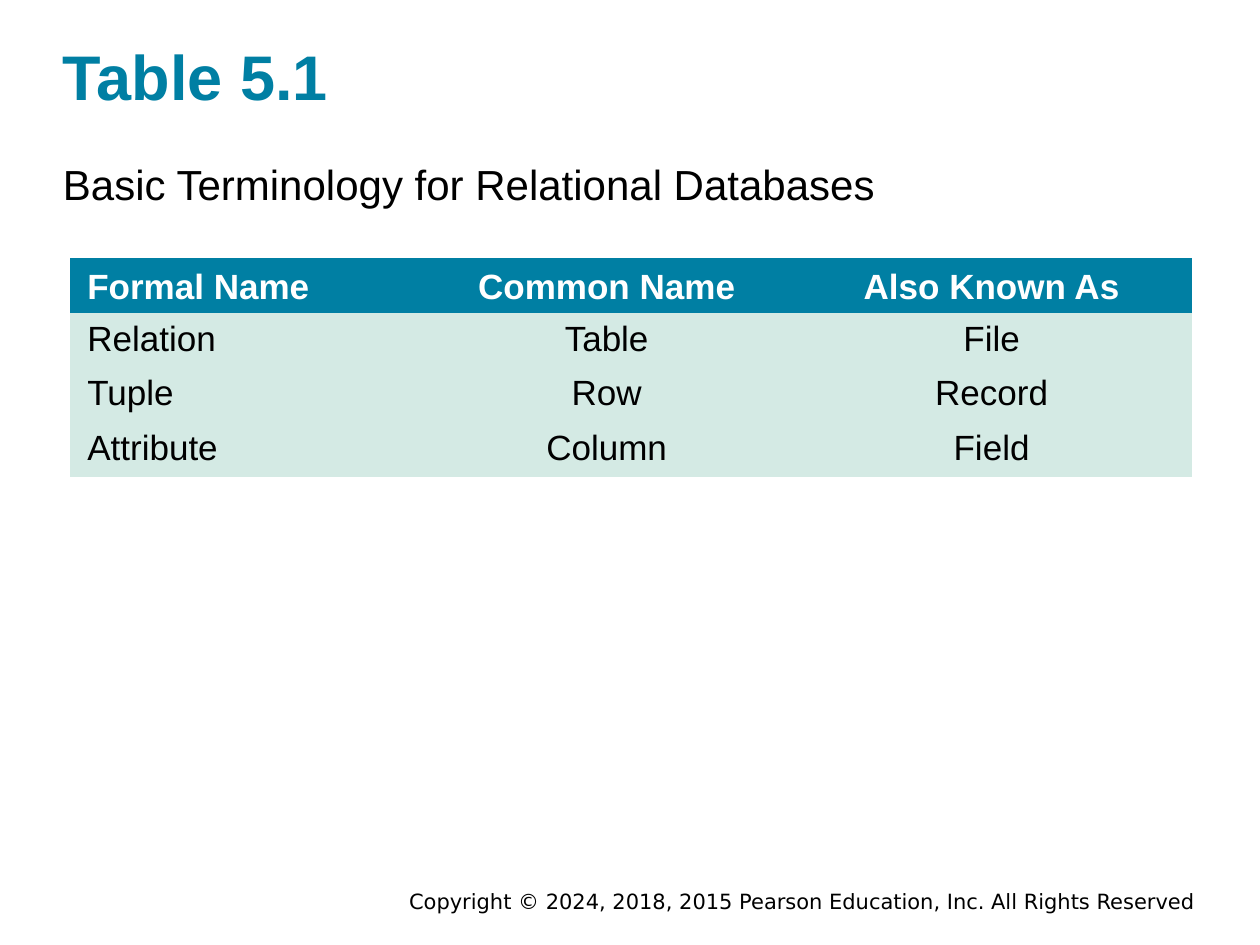
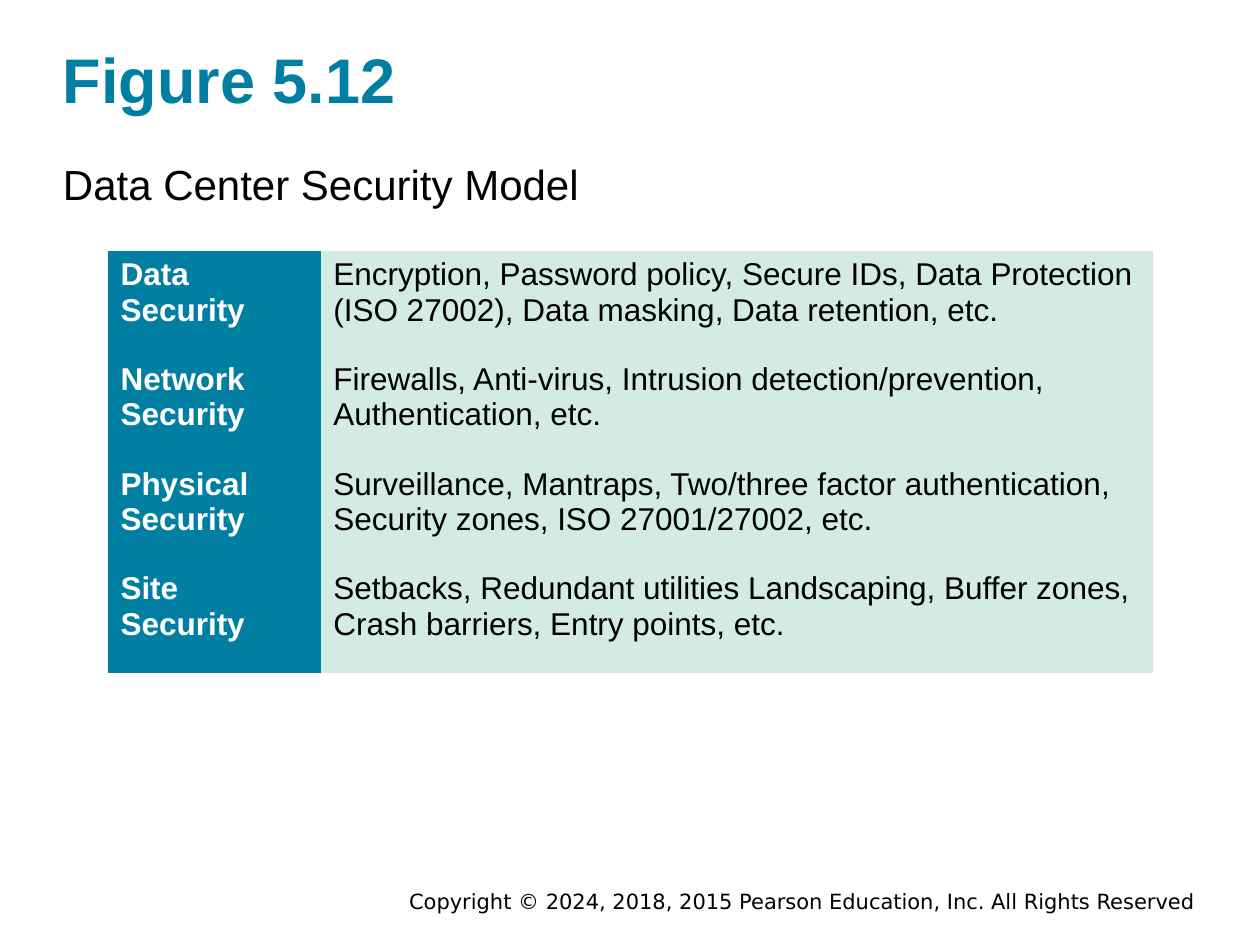
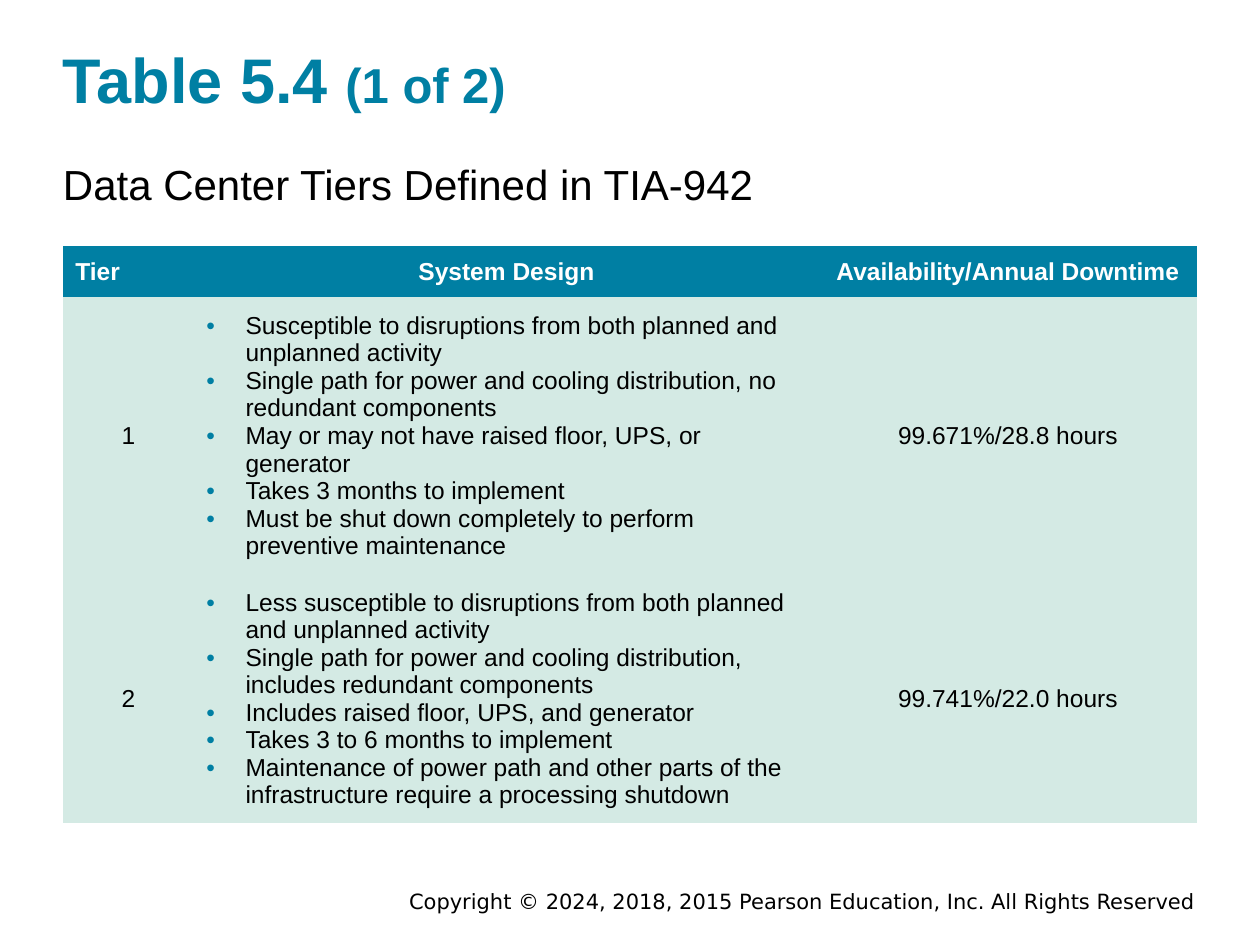
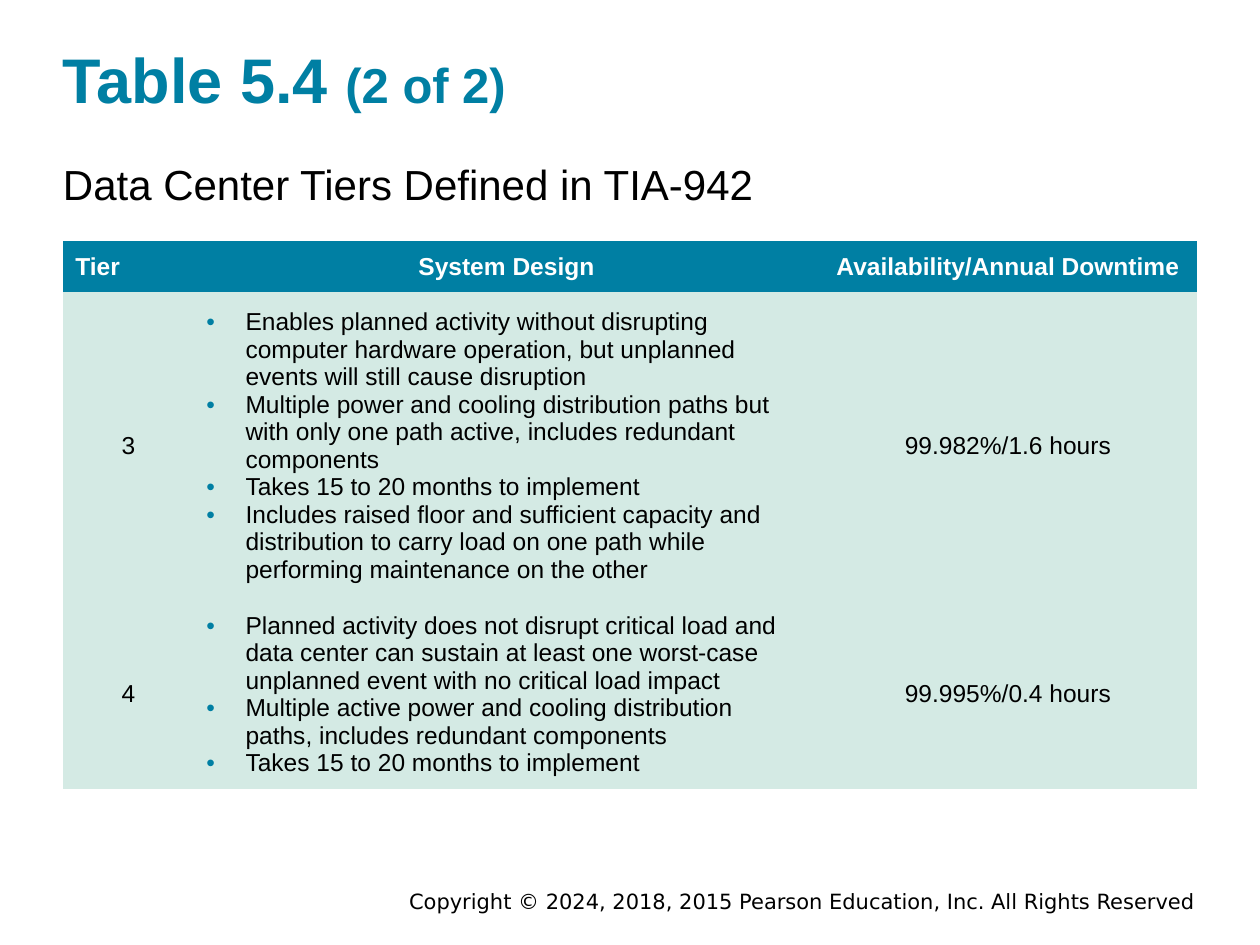
import pptx
import pptx.dml.color
import pptx.enum.text
import pptx.oxml.ns
import pptx.util
from lxml import etree
from pptx.util import Cm

# Shared look
TEAL, MINT, WHITE, BLACK = "007FA3", "D4EAE4", "FFFFFF", "000000"
BODY_FONT, FOOTER_FONT = "Arial", "DejaVu Sans"
MARGIN, CONTENT_WIDTH = 1.27, 22.86
PLAIN_TABLE_STYLE = "{2D5ABB26-0587-4C30-8999-92F81FD0307C}"
COPYRIGHT = ("Copyright © 2024, 2018, 2015 Pearson Education, Inc. "
             "All Rights Reserved")

LEFT = pptx.enum.text.PP_ALIGN.LEFT
CENTER = pptx.enum.text.PP_ALIGN.CENTER
RIGHT = pptx.enum.text.PP_ALIGN.RIGHT
TOP = pptx.enum.text.MSO_ANCHOR.TOP
MIDDLE = pptx.enum.text.MSO_ANCHOR.MIDDLE
BOTTOM = pptx.enum.text.MSO_ANCHOR.BOTTOM

# Content
TERMS = [
    ["Formal Name", "Common Name", "Also Known As"],
    ["Relation", "Table", "File"],
    ["Tuple", "Row", "Record"],
    ["Attribute", "Column", "Field"],
]
SECURITY_LAYERS = [
    ["Data Security", "Encryption, Password policy, Secure IDs, Data Protection "
     "(ISO 27002), Data masking, Data retention, etc."],
    ["Network Security", "Firewalls, Anti-virus, Intrusion detection/prevention, "
     "Authentication, etc."],
    ["Physical Security", "Surveillance, Mantraps, Two/three factor authentication, "
     "Security zones, ISO 27001/27002, etc."],
    ["Site Security", "Setbacks, Redundant utilities Landscaping, Buffer zones, "
     "Crash barriers, Entry points, etc."],
]
TIER_HEADINGS = ["Tier", "System Design", "Availability/Annual Downtime"]
LOWER_TIERS = [
    ["1", [
        "Susceptible to disruptions from both planned and unplanned activity",
        "Single path for power and cooling distribution, no redundant components",
        "May or may not have raised floor, UPS, or generator",
        "Takes 3 months to implement",
        "Must be shut down completely to perform preventive maintenance",
    ], "99.671%/28.8 hours"],
    ["2", [
        "Less susceptible to disruptions from both planned and unplanned activity",
        "Single path for power and cooling distribution, includes redundant "
        "components",
        "Includes raised floor, UPS, and generator",
        "Takes 3 to 6 months to implement",
        "Maintenance of power path and other parts of the infrastructure require "
        "a processing shutdown",
    ], "99.741%/22.0 hours"],
]
UPPER_TIERS = [
    ["3", [
        "Enables planned activity without disrupting computer hardware operation, "
        "but unplanned events will still cause disruption",
        "Multiple power and cooling distribution paths but with only one path "
        "active, includes redundant components",
        "Takes 15 to 20 months to implement",
        "Includes raised floor and sufficient capacity and distribution to carry "
        "load on one path while performing maintenance on the other",
    ], "99.982%/1.6 hours"],
    ["4", [
        "Planned activity does not disrupt critical load and data center can "
        "sustain at least one worst-case unplanned event with no critical load "
        "impact",
        "Multiple active power and cooling distribution paths, includes redundant "
        "components",
        "Takes 15 to 20 months to implement",
    ], "99.995%/0.4 hours"],
]


def rgb(value):
    return pptx.dml.color.RGBColor.from_string(value)


def style_font(font, size, color, bold=False, name=BODY_FONT):
    font.name = name
    font.size = pptx.util.Pt(size)
    font.bold = bold
    font.color.rgb = rgb(color)


def add_text(slide, text, left, top, width, height, size, color,
             bold=False, name=BODY_FONT, align=LEFT):
    """Add one line of text and return its paragraph."""
    box = slide.shapes.add_textbox(Cm(left), Cm(top), Cm(width), Cm(height))
    frame = box.text_frame
    frame.word_wrap = True
    frame.vertical_anchor = MIDDLE
    frame.margin_left = frame.margin_right = 0
    frame.margin_top = frame.margin_bottom = Cm(0.05)
    line = frame.paragraphs[0]
    line.add_run().text = text
    line.alignment = align
    style_font(line.font, size, color, bold, name)
    return line


def add_page(deck, title, subtitle, part="", title_top=0.76):
    """Start a slide with its title, subtitle and copyright line."""
    slide = deck.slides.add_slide(deck.slide_layouts[6])
    add_text(slide, COPYRIGHT, 5.79, 17.86, 18.31, 0.61, 12, BLACK,
             name=FOOTER_FONT, align=RIGHT)
    heading = add_text(slide, title, MARGIN, title_top, CONTENT_WIDTH, 1.65,
                       36, TEAL, bold=True)
    if part:
        part_run = heading.add_run()
        part_run.text = part
        part_run.font.size = pptx.util.Pt(28)
    add_text(slide, subtitle, MARGIN, 3.15, CONTENT_WIDTH, 1.12, 24, BLACK)
    return slide


def add_bullet(paragraph, indent=0.79):
    properties = paragraph._p.get_or_add_pPr()
    properties.set("marL", str(Cm(indent)))
    properties.set("indent", str(-Cm(indent)))
    qn = pptx.oxml.ns.qn
    bullet_color = etree.SubElement(properties, qn("a:buClr"))
    etree.SubElement(bullet_color, qn("a:srgbClr"), val=TEAL)
    etree.SubElement(properties, qn("a:buFont"), typeface=BODY_FONT)
    etree.SubElement(properties, qn("a:buChar"), char="•")


def fill_cell(cell, content, size, heading, align, anchor, side_margin):
    """Write a string, or a list of strings as bullets, into a cell."""
    cell.fill.solid()
    cell.fill.fore_color.rgb = rgb(TEAL if heading else MINT)
    cell.vertical_anchor = anchor
    cell.margin_left = cell.margin_right = Cm(side_margin)
    bulleted = isinstance(content, list)
    lines = content if bulleted else [content]
    cell.text_frame.text = "\n".join(lines)
    for paragraph in cell.text_frame.paragraphs:
        if bulleted:
            add_bullet(paragraph)
        else:
            paragraph.alignment = align
        style_font(paragraph.font, size, WHITE if heading else BLACK, heading)


def add_grid(slide, rows, left, top, widths, heights, size, is_heading,
             align_of, anchor_of, side_margin=0.25):
    """Add a table; the rules take the row and column of a cell."""
    grid = slide.shapes.add_table(len(rows), len(widths), Cm(left), Cm(top),
                                  Cm(sum(widths)), Cm(sum(heights))).table
    properties = grid._tbl.tblPr
    properties.find(pptx.oxml.ns.qn("a:tableStyleId")).text = PLAIN_TABLE_STYLE
    grid.horz_banding = False
    for column, width in zip(grid.columns, widths):
        column.width = Cm(width)
    for row, height in zip(grid.rows, heights):
        row.height = Cm(height)
    for r, row in enumerate(rows):
        for c, content in enumerate(row):
            fill_cell(grid.cell(r, c), content, size, is_heading(r, c),
                      align_of(r, c), anchor_of(r, c), side_margin)


def add_terms_page(deck):
    slide = add_page(deck, "Table 5.1",
                     "Basic Terminology for Relational Databases", title_top=0.69)
    add_grid(slide, TERMS, 1.42, 5.21, [7.09, 7.44, 8.08], [1.1] * len(TERMS), 20,
             is_heading=lambda r, c: r == 0,
             align_of=lambda r, c: CENTER if c else LEFT,
             anchor_of=lambda r, c: TOP if r else BOTTOM,
             side_margin=0.34)


def add_security_page(deck):
    slide = add_page(deck, "Figure 5.12", "Data Center Security Model")
    add_grid(slide, SECURITY_LAYERS, 2.18, 5.06, [4.29, 16.77],
             [2.1, 2.13, 2.1, 2.18], 18,
             is_heading=lambda r, c: c == 0,
             align_of=lambda r, c: LEFT,
             anchor_of=lambda r, c: TOP)


def add_tiers_page(deck, part, tiers, top, tier_heights):
    slide = add_page(deck, "Table 5.4 ", "Data Center Tiers Defined in TIA-942",
                     part)
    add_grid(slide, [TIER_HEADINGS] + tiers, MARGIN, top, [2.64, 12.6, 7.62],
             [1.03] + tier_heights, 14,
             is_heading=lambda r, c: r == 0,
             align_of=lambda r, c: LEFT if r == c == 0 else CENTER,
             anchor_of=lambda r, c: MIDDLE)


def main():
    deck = pptx.Presentation()
    deck.slide_width, deck.slide_height = Cm(25.4), Cm(19.05)
    add_terms_page(deck)
    add_security_page(deck)
    add_tiers_page(deck, "(1 of 2)", LOWER_TIERS, 4.96, [5.6, 5.0])
    add_tiers_page(deck, "(2 of 2)", UPPER_TIERS, 4.86, [6.2, 3.8])
    deck.save("out.pptx")


if __name__ == "__main__":
    main()
